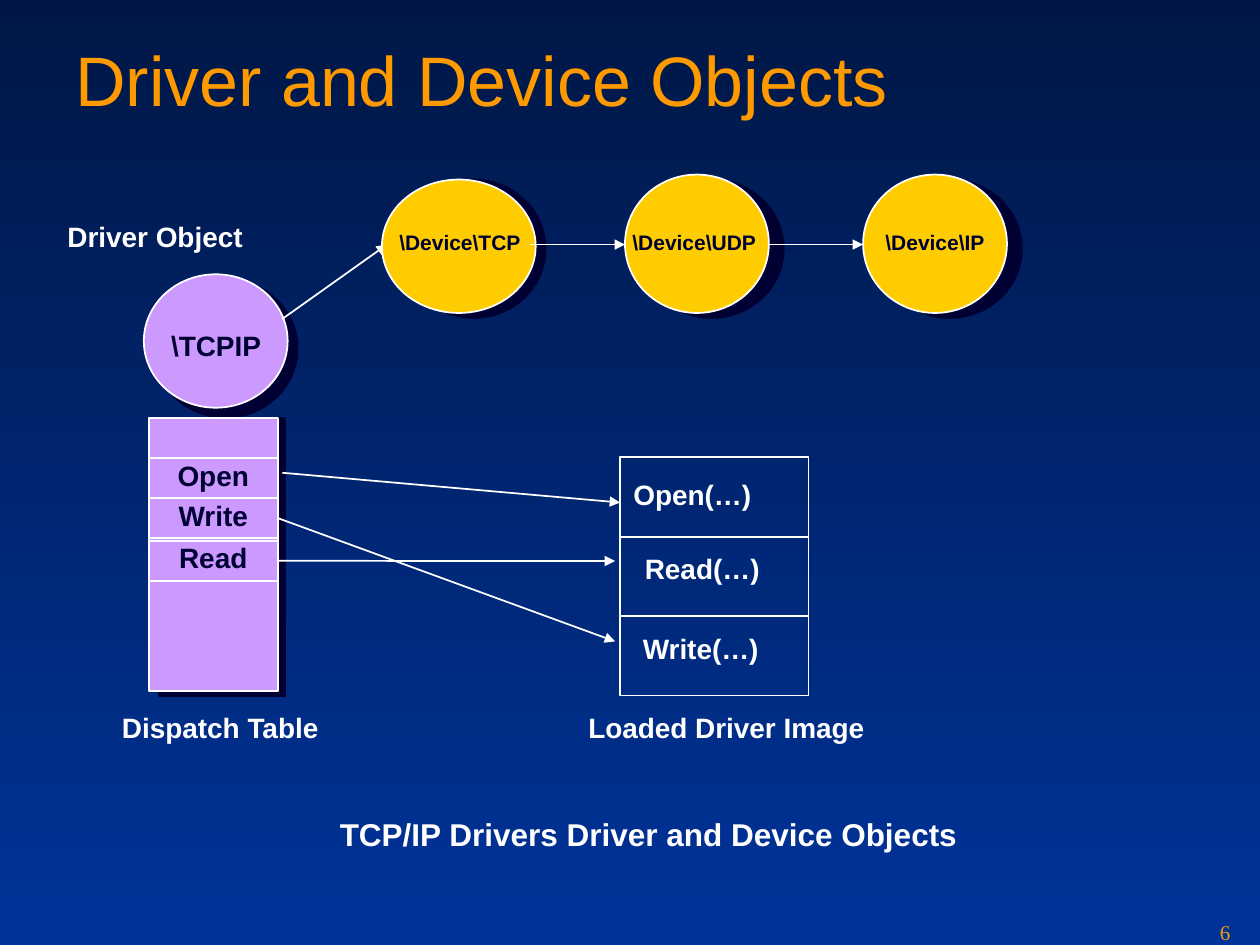
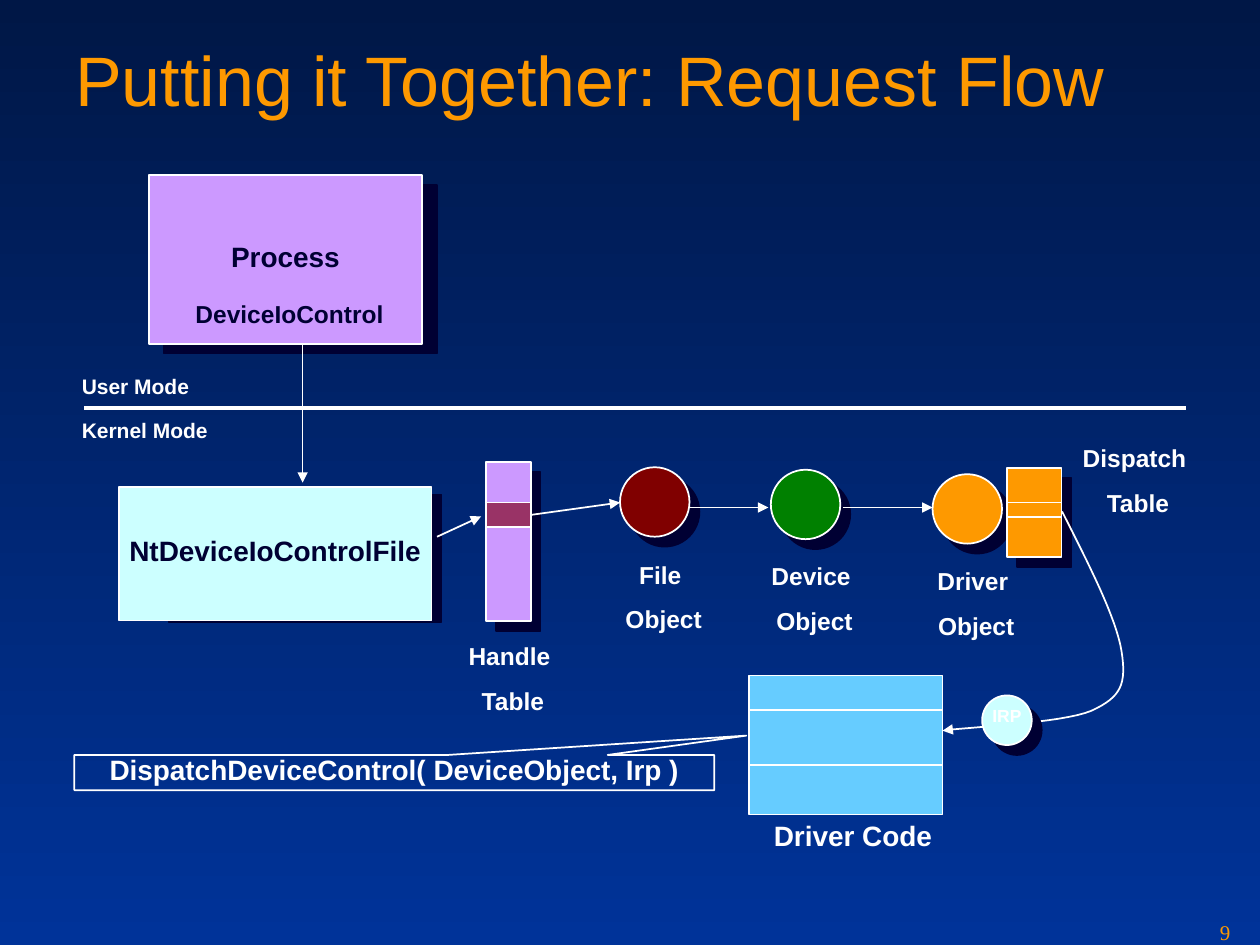
from lxml.etree import SubElement
from pptx import Presentation
from pptx.dml.color import RGBColor
from pptx.enum.shapes import MSO_CONNECTOR as Link, MSO_SHAPE as Preset
from pptx.enum.text import MSO_ANCHOR as Anchor, PP_ALIGN as Align
from pptx.oxml.ns import qn
from pptx.util import Cm, Pt

COLORS = {name: RGBColor.from_string(code) for name, code in {
    "sky": "001746", "ground": "003399", "orange": "FE9900", "navy": "000033",
    "white": "FFFFFF", "lilac": "CC99FF", "yellow": "FFCC00", "ice": "CCFFFF",
    "plum": "993366", "maroon": "800000", "green": "008000", "blue": "66CCFF",
}.items()}
RIGHT = 3  # connection site of a rectangle
NEAR = (0.2, 0.2, 0, 0)


def add_box(page, text, left, top, width, height, preset=None, fill=None, shadow=None,
            size=16, color="white", font="Arial", bold=True, align=None):
    """Add a text box, or a preset shape; shadow is its (dx, dy, extra width, extra height)."""
    if shadow:
        dx, dy, wider, taller = shadow
        back = add_box(page, "", left + dx, top + dy, width + wider, height + taller, preset, "navy")
        back.line.color.rgb = COLORS["navy"]
    place = [Cm(length) for length in (left, top, width, height)]
    if preset is None:
        box = page.shapes.add_textbox(*place)
    else:
        box = page.shapes.add_shape(preset, *place)
        box.shadow.inherit = False
        box.line.color.rgb = COLORS["white"]
        box.line.width = Pt(1)
        if fill:
            box.fill.solid()
            box.fill.fore_color.rgb = COLORS[fill]
        else:
            box.fill.background()
    frame = box.text_frame
    frame.word_wrap = False
    frame.margin_left = frame.margin_right = Cm(0.25)
    frame.margin_top, frame.margin_bottom = 0, Cm(0.13)
    frame.vertical_anchor = Anchor.MIDDLE if preset else Anchor.TOP
    for index, words in enumerate(text.split("\n") if text else []):
        para = frame.add_paragraph() if index else frame.paragraphs[0]
        para.alignment = align or (Align.CENTER if preset else Align.LEFT)
        if index:
            para.space_before = Pt(8.8)
        span = para.add_run()
        span.text = words
        span.font.name, span.font.size, span.font.bold = font, Pt(size), bold
        span.font.color.rgb = COLORS[color]
    return box


def add_line(page, points, source=None, width=1, arrow=True):
    """Draw a line through points; source is a rectangle whose right side it leaves."""
    points = [(Cm(x), Cm(y)) for x, y in points]
    if len(points) == 2:
        line = page.shapes.add_connector(Link.STRAIGHT, *points[0], *points[1])
        if source:
            line.begin_connect(source, RIGHT)
    else:
        outline = page.shapes.build_freeform(*points[0])
        outline.add_line_segments(points[1:], close=False)
        line = outline.convert_to_shape()
        line.fill.background()
    line.line.color.rgb = COLORS["white"]
    line.line.width = Pt(width)
    properties = line.element.spPr
    if arrow:
        SubElement(properties.find(qn("a:ln")), qn("a:tailEnd"), type="triangle")
    SubElement(properties, qn("a:effectLst"))


deck = Presentation()
deck.slide_width, deck.slide_height = Cm(25.4), Cm(19.05)
backdrop = deck.slide_master.background.fill
backdrop.gradient()
backdrop.gradient_angle = 270
for stop, position, name in zip(backdrop.gradient_stops, (0, 1), ("sky", "ground")):
    stop.position = position
    stop.color.rgb = COLORS[name]

pages = []
for title, number in (("Driver and Device Objects", "6"), ("Putting it Together: Request Flow", "9")):
    page = deck.slides.add_slide(deck.slide_layouts[6])
    add_box(page, title, 1.27, 0.73, 22.86, 3, size=40, color="orange", bold=False)
    add_box(page, number, 24.34, 18.53, 1.06, 0.5, size=12, color="orange",
            font="Times New Roman", bold=False)
    pages.append(page)
objects_page, flow_page = pages

# Driver and device objects
page = objects_page
add_box(page, "", 2.9, 5.53, 2.9, 2.69, Preset.OVAL, "lilac", (0.2, 0.1, 0, 0.1))
add_box(page, "\\TCPIP", 3.2, 6.63, 2.6, 0.81, color="navy")
add_line(page, [(5.69, 6.43), (7.8, 4.93)])
for name, place, shadow, text_left in (
    ("TCP", (7.7, 3.62, 3.1, 2.69), (0.4, 0, -0.2, 0.1), 7.8),
    ("UDP", (12.6, 3.52, 2.9, 2.79), (0.3, 0.1, 0, 0), 12.5),
    ("IP", (17.4, 3.52, 2.9, 2.79), (0.3, 0.1, 0, 0), 17.6),
):
    add_box(page, "", *place, Preset.OVAL, "yellow", shadow)
    add_box(page, "\\Device\\" + name, text_left, 4.62, 3.5, 0.64, size=12, color="navy")
for start, end in ((10.69, 12.6), (15.5, 17.4)):
    add_line(page, [(start, 4.93), (end, 4.93)])

add_box(page, "", 3, 8.43, 2.6, 5.5, Preset.RECTANGLE, "lilac", (0.2, 0, -0.05, 0.1))
entries = {
    name: add_box(page, name, 3, top, 2.6, 0.81, Preset.RECTANGLE, color="navy")
    for name, top in (("Open", 9.24), ("Write", 10.04), ("Read", 10.9))
}
for row, (name, left, top) in enumerate((
    ("Open", 12.52, 9.63), ("Read", 12.75, 11.11), ("Write", 12.71, 12.73),
)):
    add_box(page, "", 12.5, 9.22 + 1.6 * row, 3.8, 1.6, Preset.RECTANGLE)
    add_box(page, name + "(…)", left, top, 3.4, 0.81)
add_line(page, [(5.69, 9.53), (12.5, 10.13)])
add_line(page, [(5.6, 11.31), (12.4, 11.31)], entries["Read"])
add_line(page, [(5.6, 10.45), (12.4, 12.93)], entries["Write"])

for text, left, top, width, size in (
    ("Driver Object", 1.11, 4.42, 4.5, 16),
    ("Dispatch Table", 2.21, 14.33, 5, 16),
    ("Loaded Driver Image", 11.61, 14.33, 6.6, 16),
    ("TCP/IP Drivers Driver and Device Objects", 6.6, 16.43, 13.6, 18),
):
    add_box(page, text, left, top, width, 0.81, size=size)

# Request flow
page = flow_page
add_box(page, "Process", 3, 3.53, 5.51, 3.4, Preset.RECTANGLE, "lilac", (0.3, 0.2, 0, 0), color="navy")
add_box(page, "DeviceIoControl", 3.69, 6.02, 4.8, 0.74, size=14, color="navy")
add_line(page, [(1.7, 8.23), (23.9, 8.23)], width=2, arrow=False)
add_line(page, [(6.1, 6.93), (6.1, 9.73)])
add_box(page, "User Mode", 1.4, 7.53, 3.2, 0.64, size=12)
add_box(page, "Kernel Mode", 1.4, 8.42, 3.5, 0.64, size=12)
add_box(page, "NtDeviceIoControlFile", 2.4, 9.82, 6.3, 2.69, Preset.RECTANGLE, "ice",
        (1, 0.15, -0.8, -0.12), color="navy")

add_box(page, "", 9.8, 9.32, 0.9, 3.2, Preset.RECTANGLE, "lilac", NEAR)
handle = add_box(page, "", 9.8, 10.13, 0.9, 0.5, Preset.RECTANGLE, "plum")
for left, top, fill in ((12.5, 9.42, "maroon"), (15.54, 9.47, "green"), (18.8, 9.56, "orange")):
    add_box(page, "", left, top, 1.4, 1.4, Preset.OVAL, fill, NEAR)
add_box(page, "", 20.3, 9.43, 1.1, 1.8, Preset.RECTANGLE, "orange", NEAR)
add_box(page, "", 20.3, 10.13, 1.1, 0.3, Preset.RECTANGLE, "orange")
caption_width = 3.4
for text, center, top in (
    ("Handle \nTable", 10.34, 12.93),
    ("File \nObject", 13.38, 11.28),
    ("Device \nObject", 16.42, 11.32),
    ("Driver \nObject", 19.68, 11.42),
    ("Dispatch \nTable", 22.94, 8.93),
):
    add_box(page, text, center - caption_width / 2, top, caption_width, 1.63, size=14, align=Align.CENTER)
add_line(page, [(8.81, 10.82), (9.7, 10.41)])
add_line(page, [(10.7, 10.38), (12.5, 10.13)], handle)
for start, end in ((13.89, 15.49), (16.99, 18.8)):
    add_line(page, [(start, 10.23), (end, 10.23)])

add_box(page, "", 15.1, 13.62, 3.9, 2.8, Preset.RECTANGLE, "blue")
add_box(page, "", 15.1, 14.32, 3.9, 1.1, Preset.RECTANGLE, "blue")
add_box(page, "Driver Code", 15.35, 16.51, 4.4, 0.81)

# Dispatch curve: three Bezier segments, each sampled in equal steps
steps = 16
curve = [(21.41, 10.31)]
for bend_out, bend_in, end in (
    ((21.95, 11.38), (22.5, 12.45), (22.61, 13.13)),
    ((22.71, 13.79), (22.61, 14.05), (22, 14.33)),
    ((21.41, 14.58), (19.48, 14.66), (19, 14.73)),
):
    start = curve[-1]
    for step in range(1, steps + 1):
        t = step / steps
        weights = ((1 - t) ** 3, 3 * t * (1 - t) ** 2, 3 * t ** 2 * (1 - t), t ** 3)
        curve.append(tuple(
            sum(weight * value for weight, value in zip(weights, axis))
            for axis in zip(start, bend_out, bend_in, end)
        ))
add_line(page, curve)
add_box(page, "", 19.8, 14.02, 1, 1, Preset.OVAL, "ice", NEAR)
add_box(page, "IRP", 19.3, 14.21, 2, 0.6, size=10, align=Align.CENTER)

callout = add_box(page, "DispatchDeviceControl( DeviceObject, Irp )", 1.5, 15.22, 12.9, 0.71,
                  Preset.RECTANGULAR_CALLOUT)
callout.adjustments[0], callout.adjustments[1] = 0.55, -1.05

deck.save("out.pptx")
